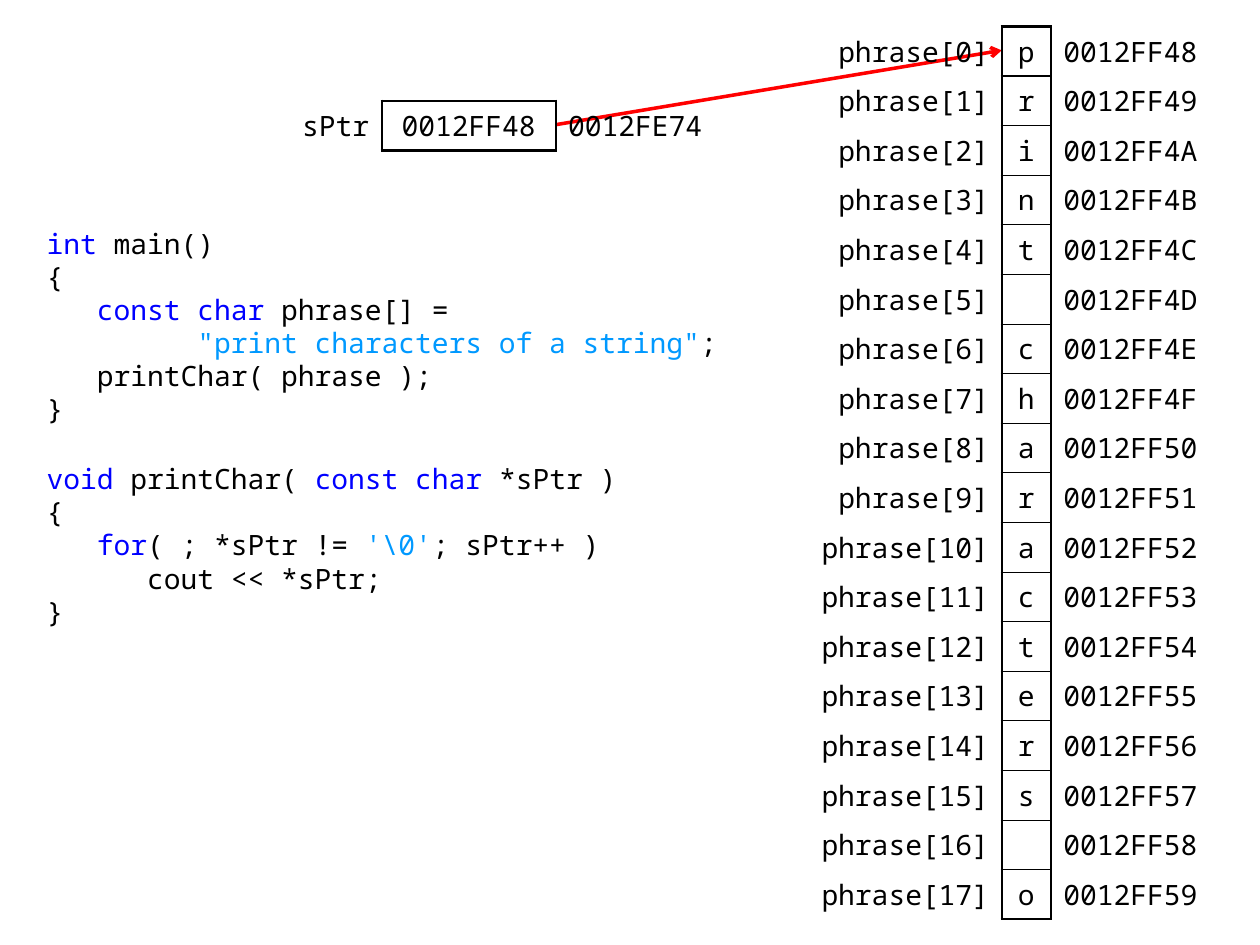
from typing import NamedTuple

from lxml.etree import SubElement
from pptx import Presentation
from pptx.dml.color import RGBColor
from pptx.enum.shapes import MSO_CONNECTOR
from pptx.enum.text import MSO_ANCHOR, MSO_AUTO_SIZE, PP_ALIGN
from pptx.oxml import parse_xml
from pptx.oxml.ns import nsdecls, qn
from pptx.util import Inches, Pt

BLACK = RGBColor(0x00, 0x00, 0x00)
WHITE = RGBColor(0xFF, 0xFF, 0xFF)
RED = RGBColor(0xFF, 0x00, 0x00)
KEYWORD = RGBColor(0x00, 0x00, 0xFF)
LITERAL = RGBColor(0x00, 0x99, 0xFF)

FONT = "Noto Sans Mono"
NO_STYLE = "{2D5ABB26-0587-4C30-8999-92F81FD0307C}"
ROW_HEIGHT = 7.09 / 18
THICK, THIN = 1.5, 0.75
FIRST_ADDRESS = 0x0012FF48
PHRASE = "print characters o"


class MemoryRow(NamedTuple):
    name: str
    value: str
    address: str


class CodeLine(NamedTuple):
    runs: list
    space_before: float = 2


# The larger space sets the two functions apart
CODE = [
    CodeLine([("int", KEYWORD), (" main()", BLACK)], 0),
    CodeLine([("{", BLACK)]),
    CodeLine([("   ", BLACK), ("const char", KEYWORD), (" phrase[] =", BLACK)]),
    CodeLine([("         ", BLACK), ('"print characters of a string"', LITERAL),
              (";", BLACK)]),
    CodeLine([("   printChar( phrase );", BLACK)]),
    CodeLine([("}", BLACK)]),
    CodeLine([("void ", KEYWORD), ("printChar( ", BLACK),
              ("const char", KEYWORD), (" *sPtr )", BLACK)], 23.2),
    CodeLine([("{", BLACK)]),
    CodeLine([("   ", BLACK), ("for", KEYWORD), ("( ; *sPtr != ", BLACK),
              ("'\\0'", LITERAL), ("; sPtr++ )", BLACK)]),
    CodeLine([("      cout << *sPtr;", BLACK)]),
    CodeLine([("}", BLACK)]),
]


def add_text(paragraph, text: str, *, color=BLACK, size=16, font=FONT) -> None:
    run = paragraph.add_run()
    run.text = text
    run.font.name = font
    run.font.size = Pt(size)
    run.font.color.rgb = color


def set_borders(cell, **widths: float) -> None:
    """Draw black borders; the keywords are the sides L, R, T and B."""
    properties = cell._tc.get_or_add_tcPr()
    sides = [side for side in "LRTB" if side in widths]
    for position, side in enumerate(sides):
        properties.insert(position, parse_xml(
            f'<a:ln{side} {nsdecls("a")} w="{Pt(widths[side])}">'
            f'<a:solidFill><a:srgbClr val="{BLACK}"/></a:solidFill></a:ln{side}>'))


def write_code(shape, lines: list[CodeLine]) -> None:
    frame = shape.text_frame
    frame.word_wrap = True
    frame.auto_size = MSO_AUTO_SIZE.NONE
    frame.vertical_anchor = MSO_ANCHOR.TOP
    for index, line in enumerate(lines):
        paragraph = frame.add_paragraph() if index else frame.paragraphs[0]
        properties = paragraph._p.get_or_add_pPr()
        properties.set("marL", str(Inches(0.39)))
        properties.set("indent", str(-Inches(0.39)))
        SubElement(properties, qn("a:buNone"))
        paragraph.line_spacing = 0.88
        paragraph.space_before = Pt(line.space_before)
        for text, color in line.runs:
            add_text(paragraph, text, color=color)


def add_memory_table(slide, left: float, top: float, widths: tuple,
                     rows: list[MemoryRow], value_fill=None) -> None:
    table = slide.shapes.add_table(
        len(rows), len(widths), Inches(left), Inches(top),
        Inches(sum(widths)), Inches(ROW_HEIGHT * len(rows))).table
    table.first_row = table.horz_banding = False
    table._tbl.tblPr.find(qn("a:tableStyleId")).text = NO_STYLE
    for column, width in zip(table.columns, widths):
        column.width = Inches(width)

    alignments = (PP_ALIGN.RIGHT, PP_ALIGN.CENTER, PP_ALIGN.LEFT)
    last = len(rows) - 1
    for index, row in enumerate(rows):
        table.rows[index].height = Inches(ROW_HEIGHT)
        cells = [table.cell(index, column) for column in range(len(widths))]
        for cell, text, alignment in zip(cells, row, alignments):
            cell.vertical_anchor = MSO_ANCHOR.MIDDLE
            cell.margin_left = cell.margin_right = Inches(0.1)
            cell.margin_top = cell.margin_bottom = Inches(0.04)
            cell.fill.background()
            paragraph = cell.text_frame.paragraphs[0]
            paragraph.alignment = alignment
            if text.strip():
                add_text(paragraph, text)
        name, value, address = cells
        if value_fill is not None:
            for cell in (value, address):
                cell.fill.solid()
                cell.fill.fore_color.rgb = value_fill
        value.margin_left = value.margin_right = Inches(0.08)
        set_borders(name, R=THICK)
        set_borders(value, L=THICK, R=THICK,
                    T=THIN if index else THICK,
                    B=THIN if index < last else THICK)
        set_borders(address, L=THICK)


def add_arrow(slide, start: tuple, end: tuple) -> None:
    arrow = slide.shapes.add_connector(
        MSO_CONNECTOR.STRAIGHT, *(Inches(value) for value in start + end))
    arrow.line.color.rgb = RED
    arrow.line.width = Pt(2)
    SubElement(arrow.line._get_or_add_ln(), qn("a:tailEnd"), type="arrow")
    SubElement(arrow._element.spPr, qn("a:effectLst"))


def main() -> None:
    presentation = Presentation()
    presentation.slide_width = Inches(10)
    presentation.slide_height = Inches(7.5)
    slide = presentation.slides.add_slide(presentation.slide_layouts[1])
    title = slide.shapes.title._element
    title.getparent().remove(title)

    # Program code
    body = slide.placeholders[1]
    body.left, body.top = Inches(0.27), Inches(1.78)
    body.width, body.height = Inches(5.71), Inches(3.94)
    write_code(body, CODE)

    # Pointer to the first character
    add_arrow(slide, (4.41, 0.99), (7.95, 0.4))

    # Array in memory
    phrase_rows = [MemoryRow(f"phrase[{index}]", letter, f"{FIRST_ADDRESS + index:08X}")
                   for index, letter in enumerate(PHRASE)]
    add_memory_table(slide, 6.38, 0.21, (1.57, 0.39, 1.38), phrase_rows, WHITE)

    # Pointer variable
    pointer = MemoryRow("sPtr", f"{FIRST_ADDRESS:08X}", "0012FE74")
    add_memory_table(slide, 2.24, 0.8, (0.79, 1.38, 1.38), [pointer])

    presentation.save("out.pptx")


if __name__ == "__main__":
    main()
